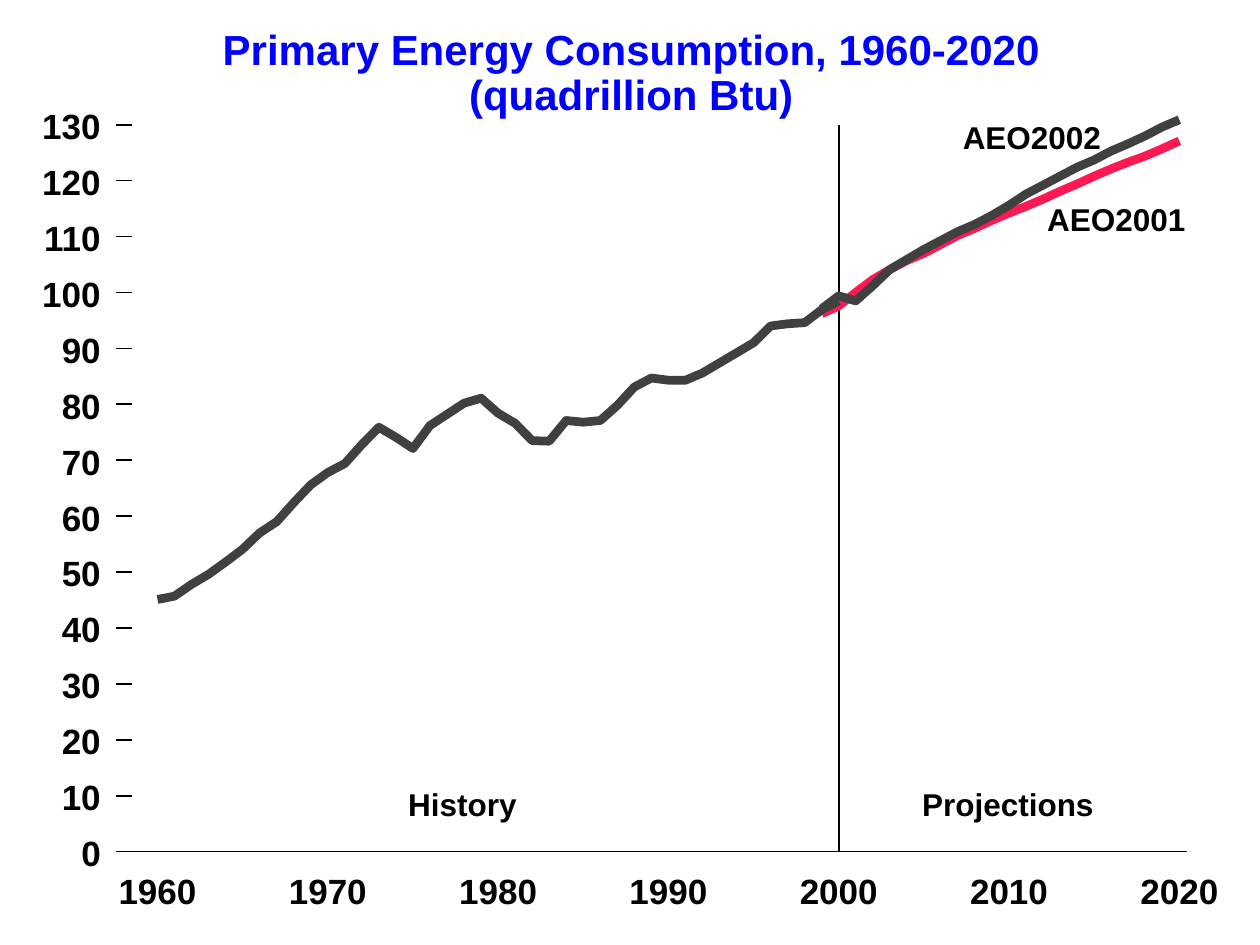
from dataclasses import dataclass

from lxml import etree
from pptx import Presentation
from pptx.dml.color import RGBColor
from pptx.enum.shapes import MSO_CONNECTOR
from pptx.enum.text import MSO_ANCHOR, MSO_AUTO_SIZE, PP_ALIGN
from pptx.oxml.ns import qn
from pptx.util import Inches, Pt

STRAIGHT = MSO_CONNECTOR.STRAIGHT
TOP = MSO_ANCHOR.TOP
NO_AUTOFIT = MSO_AUTO_SIZE.NONE
CENTER, RIGHT = PP_ALIGN.CENTER, PP_ALIGN.RIGHT


@dataclass(frozen=True)
class Theme:
    font: str = "Arial"
    title: RGBColor = RGBColor(0x00, 0x00, 0xFF)
    ink: RGBColor = RGBColor(0x00, 0x00, 0x00)
    main_curve: RGBColor = RGBColor(0x40, 0x40, 0x40)
    earlier_curve: RGBColor = RGBColor(0xFF, 0x18, 0x52)
    title_size: int = 24
    axis_size: int = 20
    label_size: int = 18
    curve_width: int = 5
    tick_width: int = 1
    axis_width: float = 0.75


THEME = Theme()

FIRST_YEAR, LAST_YEAR, SPLIT_YEAR = 1960, 2020, 2000
PROJECTION_START = 1999
MAX_BTU, STEP = 130, 10

HISTORY = [
    45.1, 45.7, 47.8, 49.6, 51.8, 54.1, 57.0, 59.0, 62.4, 65.6,
    67.8, 69.4, 72.8, 75.9, 74.1, 72.1, 76.2, 78.2, 80.2, 81.1,
    78.4, 76.6, 73.5, 73.4, 77.1, 76.8, 77.1, 79.8, 83.1, 84.7,
    84.3, 84.3, 85.6, 87.4, 89.2, 91.0, 94.0, 94.4, 94.6, 96.9, 98.5,
]
AEO2001 = [
    96.2, 97.6, 100.0, 102.3, 104.1, 105.7, 107.0, 108.6, 110.2, 111.5, 112.9,
    114.2, 115.4, 116.7, 118.1, 119.4, 120.8, 122.1, 123.3, 124.4, 125.7, 127.1,
]
AEO2002 = [
    97.1, 99.4, 98.5, 101.2, 104.1, 105.9, 107.7, 109.3, 110.9, 112.2, 113.8,
    115.6, 117.6, 119.2, 120.8, 122.4, 123.7, 125.3, 126.6, 128.0, 129.6, 130.9,
]


@dataclass(frozen=True)
class Plot:
    """Plot area in inches, with the scales that map years and Btu onto it."""
    left: float
    top: float
    width: float
    height: float
    pad_left: float = 0.33
    pad_right: float = 0.06

    @property
    def right(self):
        return self.left + self.width

    @property
    def bottom(self):
        return self.top + self.height

    def x(self, year):
        span = self.width - self.pad_left - self.pad_right
        share = (year - FIRST_YEAR) / (LAST_YEAR - FIRST_YEAR)
        return self.left + self.pad_left + span * share

    def y(self, btu):
        return self.bottom - self.height * btu / MAX_BTU


def write(tf, text, *, size, color=THEME.ink, align=CENTER, spacing=None):
    """Fill a text frame with one paragraph for each line of text."""
    tf.margin_left = tf.margin_right = tf.margin_top = tf.margin_bottom = 0
    tf.word_wrap = False
    tf.auto_size = NO_AUTOFIT
    tf.vertical_anchor = TOP
    for i, line in enumerate(text.split("\n")):
        p = tf.paragraphs[0] if i == 0 else tf.add_paragraph()
        p.alignment = align
        p.space_before = Pt(0)
        if spacing:
            p.line_spacing = spacing
        r = p.add_run()
        r.text = line
        r.font.name = THEME.font
        r.font.size = Pt(size)
        r.font.bold = True
        r.font.color.rgb = color


def add_label(s, text, left, top, width, height, **fmt):
    tb = s.shapes.add_textbox(Inches(left), Inches(top), Inches(width), Inches(height))
    write(tb.text_frame, text, **fmt)


def add_rule(s, x1, y1, x2, y2, width):
    line = s.shapes.add_connector(STRAIGHT, Inches(x1), Inches(y1), Inches(x2), Inches(y2))
    line.line.color.rgb = THEME.ink
    line.line.width = Pt(width)
    etree.SubElement(line._element.spPr, qn("a:effectLst"))


def add_title(s, left, top, width, height):
    sp = s.shapes.title
    sp.left, sp.top = Inches(left), Inches(top)
    sp.width, sp.height = Inches(width), Inches(height)
    write(sp.text_frame, "Primary Energy Consumption, 1960-2020\n(quadrillion Btu)",
          size=THEME.title_size, color=THEME.title, spacing=0.9)


def add_curve(s, plot, start_year, values, color):
    points = [(Inches(plot.x(year)), Inches(plot.y(btu)))
              for year, btu in enumerate(values, start_year)]
    builder = s.shapes.build_freeform(*points[0])
    builder.add_line_segments(points[1:], close=False)
    sp = builder.convert_to_shape()
    sp.shadow.inherit = False
    sp.fill.background()
    sp.line.color.rgb = color
    sp.line.width = Pt(THEME.curve_width)


def add_curves(s, plot):
    add_curve(s, plot, PROJECTION_START, AEO2001, THEME.earlier_curve)
    add_curve(s, plot, PROJECTION_START, AEO2002, THEME.main_curve)
    add_curve(s, plot, FIRST_YEAR, HISTORY, THEME.main_curve)


def add_btu_axis(s, plot):
    label_width, tick, gap = 0.47, 0.13, 0.12
    for btu in range(0, MAX_BTU + 1, STEP):
        y = plot.y(btu)
        if btu:
            add_rule(s, plot.left, y, plot.left + tick, y, THEME.tick_width)
        add_label(s, str(btu), plot.left - gap - label_width, y - 0.16,
                  label_width, 0.33, size=THEME.axis_size, align=RIGHT)


def add_year_axis(s, plot):
    label_width = 0.62
    for year in range(FIRST_YEAR, LAST_YEAR + 1, STEP):
        add_label(s, str(year), plot.x(year) - label_width / 2, plot.bottom + 0.14,
                  label_width, 0.33, size=THEME.axis_size)
    add_rule(s, plot.left, plot.bottom, plot.right, plot.bottom, THEME.axis_width)


def add_annotations(s, plot):
    """Name the two periods and the two projections, offset from the plot corner."""
    for text, dx, dy, width in [
        ("History", 2.32, 5.24, 0.86),
        ("Projections", 6.4, 5.24, 1.36),
        ("AEO2001", 7.39, 0.6, 1.1),
        ("AEO2002", 6.72, -0.05, 1.1),
    ]:
        add_label(s, text, plot.left + dx, plot.top + dy, width, 0.3, size=THEME.label_size)


def add_energy_plot(s, plot):
    split = plot.x(SPLIT_YEAR)
    add_rule(s, split, plot.top, split, plot.bottom, THEME.tick_width)
    add_curves(s, plot)
    add_btu_axis(s, plot)
    add_year_axis(s, plot)
    add_annotations(s, plot)


def main():
    prs = Presentation()
    prs.slide_width, prs.slide_height = Inches(10), Inches(7.5)
    s = prs.slides.add_slide(prs.slide_layouts.get_by_name("Title Only"))
    add_title(s, 1.61, 0.23, 6.8, 0.72)
    add_energy_plot(s, Plot(0.92, 0.99, 8.5, 5.77))
    prs.save("out.pptx")


if __name__ == "__main__":
    main()
